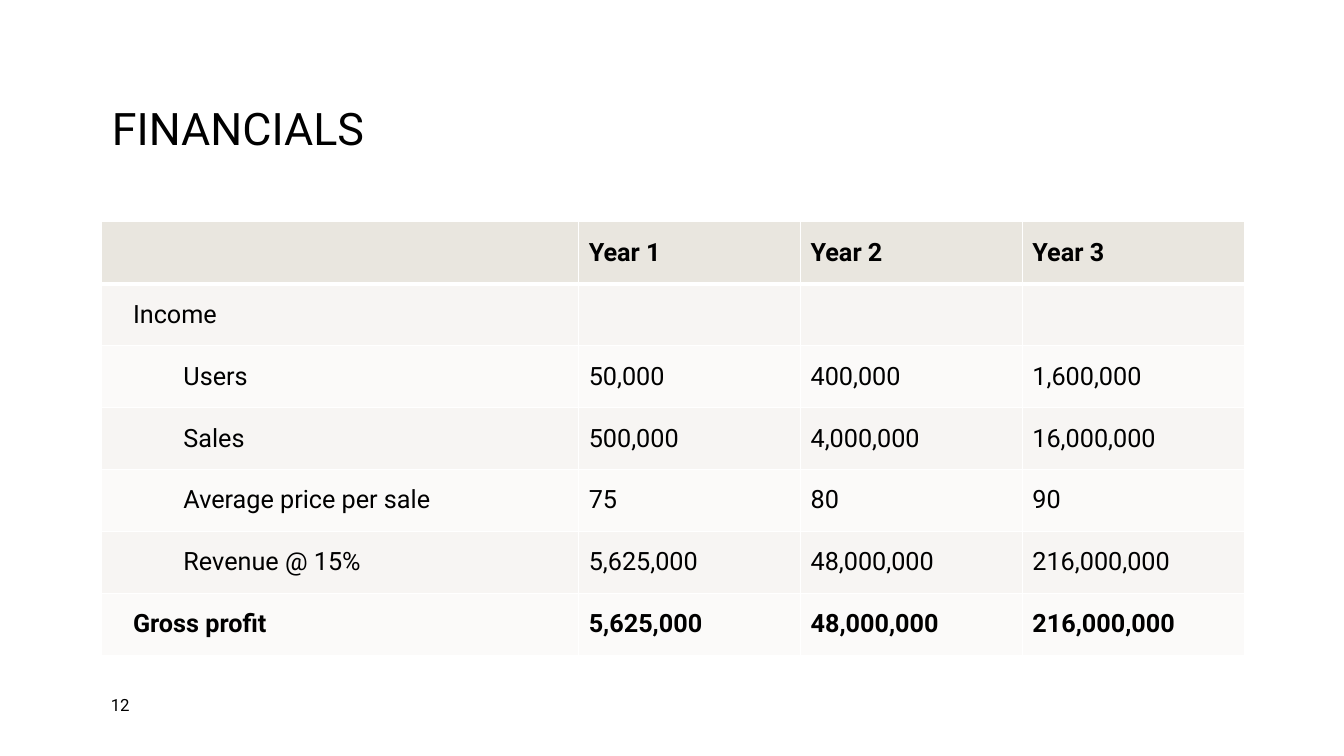
from lxml import etree
from pptx import Presentation, util as u
from pptx.dml.color import RGBColor
from pptx.enum import text
from pptx.oxml import ns

LEFT, WIDTH = 1.01, 11.33
LABEL_WIDTH, YEAR_WIDTH = 4.73, 2.2
TABLE_TOP, TABLE_HEIGHT = 2.2, 4.3
HEADER_FILL, ODD_FILL, EVEN_FILL = "E9E6DF", "F7F5F3", "FBFAF9"

# Label, indent level, bold, yearly figures
rows = [
    ("", 0, True, ("Year 1", "Year 2", "Year 3")),
    ("Income", 0, False, ("", "", "")),
    ("Users", 1, False, ("50,000", "400,000", "1,600,000")),
    ("Sales", 1, False, ("500,000", "4,000,000", "16,000,000")),
    ("Average price per sale", 1, False, ("75", "80", "90")),
    ("Revenue @ 15%", 1, False, ("5,625,000", "48,000,000", "216,000,000")),
    ("Gross profit", 0, True, ("5,625,000", "48,000,000", "216,000,000")),
]


def color(target, value):
    target.rgb = RGBColor.from_string(value)


def add_run(paragraph, words, size, bold=False):
    run = paragraph.add_run()
    run.text = words
    run.font.name = "Roboto"
    run.font.size = u.Pt(size)
    run.font.bold = bold
    color(run.font.color, "000000")


prs = Presentation()
prs.slide_width, prs.slide_height = u.Inches(13.33), u.Inches(7.5)
slide = prs.slides.add_slide(prs.slide_layouts[5])

# Title
title = slide.shapes.title
title.left, title.top = u.Inches(LEFT), u.Inches(0.64)
title.width, title.height = u.Inches(WIDTH), u.Inches(1.32)
title.text_frame.vertical_anchor = text.MSO_ANCHOR.MIDDLE
heading = title.text_frame.paragraphs[0]
heading.alignment = text.PP_ALIGN.LEFT
heading.line_spacing = 0.9
add_run(heading, "FINANCIALS", 32)

# Financial table
financials = slide.shapes.add_table(
    len(rows), 4, u.Inches(LEFT), u.Inches(TABLE_TOP),
    u.Inches(WIDTH), u.Inches(TABLE_HEIGHT)).table
for c, column in enumerate(financials.columns):
    column.width = u.Inches(YEAR_WIDTH if c else LABEL_WIDTH)

for r, (label, level, bold, figures) in enumerate(rows):
    financials.rows[r].height = u.Inches(TABLE_HEIGHT / len(rows))
    for c, words in enumerate((label, *figures)):
        cell = financials.cell(r, c)
        cell.vertical_anchor = text.MSO_ANCHOR.MIDDLE

        # White borders, thicker around the header's lower edge
        props = cell._tc.get_or_add_tcPr()
        for side in "LRTB":
            thick = (r, side) in ((0, "B"), (1, "T"))
            line = etree.SubElement(props, ns.qn(f"a:ln{side}"), w=str(u.Pt(3 if thick else 1)))
            fill = etree.SubElement(line, ns.qn("a:solidFill"))
            etree.SubElement(fill, ns.qn("a:srgbClr"), val="FFFFFF")

        # Header and banded fills
        cell.fill.solid()
        color(cell.fill.fore_color, HEADER_FILL if r == 0 else ODD_FILL if r % 2 else EVEN_FILL)

        # Labels are inset, and the items under Income are indented
        paragraph = cell.text_frame.paragraphs[0]
        if c == 0 and r > 0:
            cell.margin_left = u.Inches(0.31)
            if level:
                paragraph.level = level
                paragraph._p.get_or_add_pPr().set("marL", str(u.Inches(0.5)))
        if words:
            add_run(paragraph, words, 18, bold)

# Slide number
number = slide.shapes.add_textbox(u.Inches(1), u.Inches(6.83), u.Inches(0.69), u.Inches(0.32))
number.text_frame.word_wrap = True
number.text_frame.vertical_anchor = text.MSO_ANCHOR.MIDDLE
add_run(number.text_frame.paragraphs[0], "12", 12)

prs.save("out.pptx")
